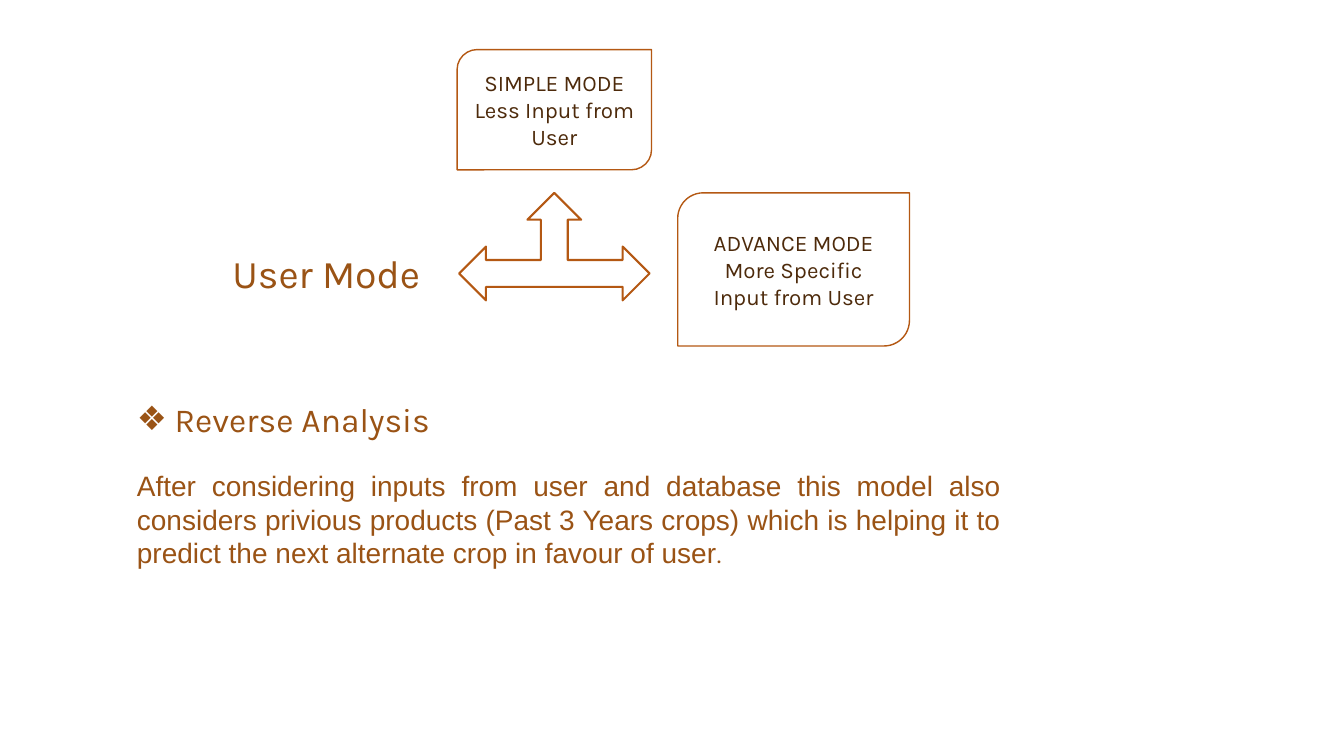
from lxml import etree
from pptx import Presentation
from pptx.dml.color import RGBColor
from pptx.enum.shapes import MSO_SHAPE
from pptx.enum.text import MSO_ANCHOR, MSO_AUTO_SIZE, PP_ALIGN
from pptx.oxml.ns import qn
from pptx.util import Cm, Pt

ARROW = MSO_SHAPE.LEFT_RIGHT_UP_ARROW
MODE_BOX = MSO_SHAPE.ROUND_2_DIAG_RECTANGLE
MIDDLE = MSO_ANCHOR.MIDDLE
FIT_SHAPE = MSO_AUTO_SIZE.SHAPE_TO_FIT_TEXT
CENTER = PP_ALIGN.CENTER
JUSTIFY = PP_ALIGN.JUSTIFY

HEADING_FONT = "Karla"
BODY_FONT = "Arial"
BROWN = "9A5315"
DARK_BROWN = "4D2A0B"
OUTLINE = "B45813"

ANALYSIS = (
    "After considering inputs from user and database this model also considers "
    "privious products (Past 3 Years crops) which is helping it to predict the "
    "next alternate crop in favour of user"
)


def color(value):
    return RGBColor.from_string(value)


def format_run(run, size, value, font=HEADING_FONT):
    run.font.size = Pt(size)
    run.font.name = font
    run.font.color.rgb = color(value)


def add_outline_shape(slide, kind, left, top, width, height, line_width):
    shape = slide.shapes.add_shape(kind, Cm(left), Cm(top), Cm(width), Cm(height))
    shape.shadow.inherit = False
    shape.fill.background()
    shape.line.color.rgb = color(OUTLINE)
    shape.line.width = Pt(line_width)
    return shape


def add_mode_box(slide, left, top, width, height, text):
    shape = add_outline_shape(slide, MODE_BOX, left, top, width, height, 1)
    text_frame = shape.text_frame
    text_frame.word_wrap = True
    text_frame.vertical_anchor = MIDDLE
    text_frame.text = text
    for paragraph in text_frame.paragraphs:
        paragraph.alignment = CENTER
        format_run(paragraph.runs[0], 16, DARK_BROWN)


def add_text_box(slide, left, top, width, height, text, wrap):
    shape = slide.shapes.add_textbox(Cm(left), Cm(top), Cm(width), Cm(height))
    text_frame = shape.text_frame
    text_frame.word_wrap = wrap
    text_frame.auto_size = FIT_SHAPE
    text_frame.text = text
    return text_frame


def add_bullet(paragraph, symbol, indent):
    properties = paragraph._p.get_or_add_pPr()
    properties.set("marL", str(Cm(indent)))
    properties.set("indent", str(-Cm(indent)))
    etree.SubElement(properties, qn("a:buFont")).set("typeface", BODY_FONT)
    etree.SubElement(properties, qn("a:buChar")).set("char", symbol)


def main():
    presentation = Presentation()
    presentation.slide_width = Cm(33.87)
    presentation.slide_height = Cm(19.05)
    slide = presentation.slides.add_slide(presentation.slide_layouts[6])

    # User mode label and its branching arrow
    label = add_text_box(slide, 5.31, 6.17, 5.82, 1.45, "User Mode", False)
    label.paragraphs[0].alignment = CENTER
    format_run(label.paragraphs[0].runs[0], 28, BROWN)
    add_outline_shape(slide, ARROW, 11.57, 4.86, 4.8, 2.71, 1.5)

    # The two modes
    add_mode_box(slide, 11.52, 1.25, 4.9, 3.03,
                 "SIMPLE MODE\nLess Input from User")
    add_mode_box(slide, 17.08, 4.86, 5.84, 3.86,
                 "ADVANCE MODE\nMore Specific Input from User")

    # Reverse analysis heading and explanation
    analysis = add_text_box(slide, 3.2, 9.93, 22.28, 4.62,
                            "Reverse Analysis\n" + ANALYSIS, True)
    heading, body = analysis.paragraphs
    add_bullet(heading, "❖", 0.95)
    format_run(heading.runs[0], 24, BROWN)
    body.alignment = JUSTIFY
    body.space_before = Pt(21)
    format_run(body.runs[0], 20, BROWN, BODY_FONT)
    full_stop = body.add_run()
    full_stop.text = "."
    format_run(full_stop, 18, BROWN)

    presentation.save("out.pptx")


if __name__ == "__main__":
    main()
